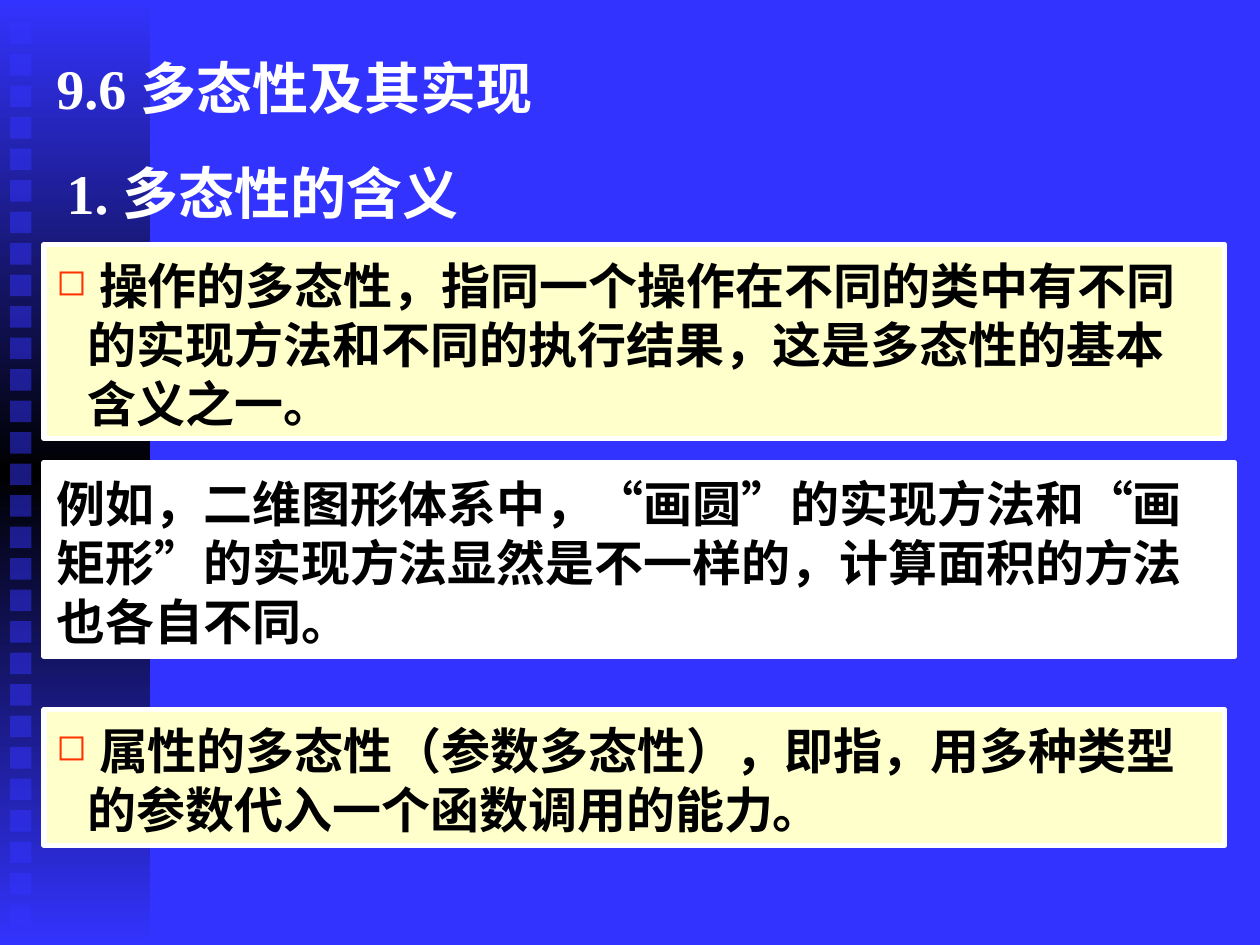
from copy import deepcopy

from lxml import etree
from pptx import Presentation
from pptx.dml.color import RGBColor
from pptx.enum.lang import MSO_LANGUAGE_ID
from pptx.enum.shapes import MSO_SHAPE
from pptx.enum.text import MSO_ANCHOR, PP_ALIGN
from pptx.oxml.ns import qn
from pptx.util import Inches, Pt

RECTANGLE = MSO_SHAPE.RECTANGLE
MIDDLE, TOP = MSO_ANCHOR.MIDDLE, MSO_ANCHOR.TOP
LEFT = PP_ALIGN.LEFT
CHINESE = MSO_LANGUAGE_ID.SIMPLIFIED_CHINESE

THEME = {
    "font": "Times New Roman",
    "heading_size": 32,
    "body_size": 28,
    "background": "3333FF",
    "band_middle": "000000",
    "heading": "FFFFFF",
    "body": "000000",
    "border": "FFFFFF",
    "definition": "FFFFCC",
    "example": "FFFFFF",
    "bullet": "FF3300",
}

HEADINGS = [
    ("9.6 多态性及其实现", 0.35, 0.24),
    ("1. 多态性的含义", 0.43, 1.07),
]
PANELS = [
    (" 操作的多态性，指同一个操作在不同的类中有不同的实现方法和不同的执行结果，这是多态性的基本含义之一。",
     1.94, 9.37, 1.54, "definition"),
    ("例如，二维图形体系中，“画圆”的实现方法和“画矩形”的实现方法显然是不一样的，计算面积的方法也各自不同。",
     3.67, 9.45, 1.54, "example"),
    (" 属性的多态性（参数多态性），即指，用多种类型的参数代入一个函数调用的能力。",
     5.63, 9.37, 1.08, "definition"),
]
PANEL_LEFT = 0.35
BULLET_INDENT = 0.25
BAND_WIDTH = 1.19
SQUARE_COUNT, SQUARE_LEFT, SQUARE_TOP = 29, 0.08, 0.18
SQUARE_SIZE, SQUARE_PITCH = 0.17, 0.25


def color(name):
    return RGBColor.from_string(THEME[name])


def add_rectangle(slide, left, top, width, height):
    shape = slide.shapes.add_shape(
        RECTANGLE, Inches(left), Inches(top), Inches(width), Inches(height))
    shape.shadow.inherit = False
    shape.line.fill.background()
    return shape


def add_band(slide):
    fill = add_rectangle(slide, 0, 0, BAND_WIDTH, 7.5).fill
    fill.gradient()
    fill.gradient_angle = 90
    first = fill.gradient_stops[0]._gs
    first.addnext(deepcopy(first))
    names = ("background", "band_middle", "background")
    for stop, name, position in zip(fill.gradient_stops, names, (0, 0.5, 1)):
        stop.color.rgb = color(name)
        stop.position = position


def add_squares(slide):
    for index in range(SQUARE_COUNT):
        square = add_rectangle(slide, SQUARE_LEFT, SQUARE_TOP + index * SQUARE_PITCH,
                               SQUARE_SIZE, SQUARE_SIZE)
        square.fill.solid()
        square.fill.fore_color.rgb = color("background")
        tone = square._element.spPr.find(".//" + qn("a:srgbClr"))
        etree.SubElement(tone, qn("a:alpha"), val="50000")


def add_bullet(paragraph):
    properties = paragraph._p.get_or_add_pPr()
    properties.set("marL", str(Inches(BULLET_INDENT)))
    properties.set("indent", str(-Inches(BULLET_INDENT)))
    bullet_color = etree.SubElement(properties, qn("a:buClr"))
    etree.SubElement(bullet_color, qn("a:srgbClr"), val=THEME["bullet"])
    etree.SubElement(properties, qn("a:buSzPct"), val="75000")
    etree.SubElement(properties, qn("a:buChar"), char="◻")


def write_text(shape, text, role, anchor, margin_top, bulleted=False):
    frame = shape.text_frame
    frame.word_wrap = True
    frame.vertical_anchor = anchor
    frame.margin_top = Inches(margin_top)
    paragraph = frame.paragraphs[0]
    paragraph.text = text
    paragraph.alignment = LEFT
    if bulleted:
        add_bullet(paragraph)
    font = paragraph.font
    font.name = THEME["font"]
    font.size = Pt(THEME[role + "_size"])
    font.bold = True
    font.color.rgb = color(role)
    font.language_id = CHINESE


def add_heading(slide, text, left, top):
    box = slide.shapes.add_textbox(
        Inches(left), Inches(top), Inches(9.37), Inches(0.91))
    write_text(box, text, "heading", MIDDLE, 0.05)


def add_panel(slide, text, top, width, height, kind):
    panel = add_rectangle(slide, PANEL_LEFT, top, width, height)
    panel.fill.solid()
    panel.fill.fore_color.rgb = color(kind)
    panel.line.color.rgb = color("border")
    panel.line.width = Pt(3)
    write_text(panel, text, "body", TOP, 0.09, kind == "definition")


def main():
    presentation = Presentation()
    presentation.slide_width, presentation.slide_height = Inches(10), Inches(7.5)
    slide = presentation.slides.add_slide(presentation.slide_layouts[6])
    slide.background.fill.solid()
    slide.background.fill.fore_color.rgb = color("background")
    add_band(slide)
    add_squares(slide)
    for heading in HEADINGS:
        add_heading(slide, *heading)
    for panel in PANELS:
        add_panel(slide, *panel)
    presentation.save("out.pptx")


if __name__ == "__main__":
    main()
